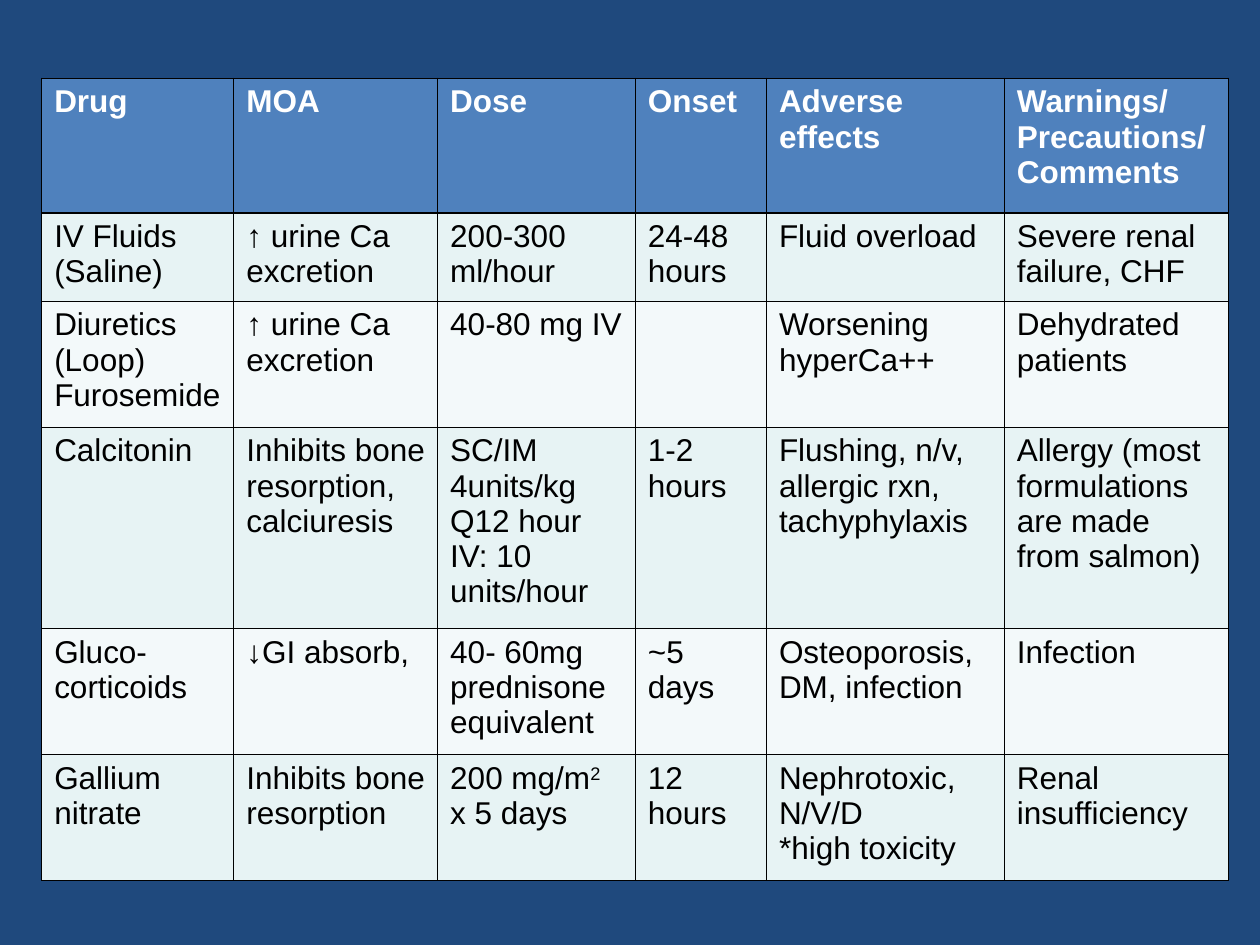
from pptx import Presentation
from pptx.dml.color import RGBColor
from pptx.oxml import parse_xml
from pptx.oxml.ns import nsdecls
from pptx.util import Pt

NAVY = RGBColor(0x1F, 0x49, 0x7D)
HEADER_BLUE = RGBColor(0x4F, 0x81, 0xBD)
BAND_DARK = RGBColor(0xE7, 0xF3, 0xF4)
BAND_LIGHT = RGBColor(0xF3, 0xF9, 0xFA)
WHITE = RGBColor(0xFF, 0xFF, 0xFF)
BLACK = RGBColor(0x00, 0x00, 0x00)

FONT = "Arial"
TEXT_SIZE = Pt(18)
THIN = Pt(0.45)
THICK = Pt(1.47)
SUPERSCRIPT_MARK = "^"

COLUMN_WIDTHS = [109.8, 116.5, 113, 74.9, 136, 128]
ROW_HEIGHTS = [77, 50.4, 72, 115.2, 72, 72]

DRUGS = [
    ["Drug", "MOA", "Dose", "Onset", "Adverse effects",
     "Warnings/\nPrecautions/ Comments"],
    ["IV Fluids (Saline)", "↑ urine Ca excretion", "200-300 ml/hour",
     "24-48 hours", "Fluid overload", "Severe renal failure, CHF"],
    ["Diuretics (Loop) Furosemide", "↑ urine Ca excretion", "40-80 mg IV",
     "", "Worsening hyperCa++", "Dehydrated patients"],
    ["Calcitonin", "Inhibits bone resorption, calciuresis",
     "SC/IM 4units/kg Q12 hour\nIV: 10 units/hour", "1-2 hours",
     "Flushing, n/v, allergic rxn, tachyphylaxis",
     "Allergy (most formulations are made from salmon)"],
    ["Gluco-corticoids", "↓GI absorb,", "40- 60mg prednisone equivalent",
     "~5 days", "Osteoporosis, DM, infection", "Infection"],
    ["Gallium nitrate", "Inhibits bone resorption",
     "200 mg/m^2\nx 5 days", "12 hours",
     "Nephrotoxic,\nN/V/D\n*high toxicity", "Renal insufficiency"],
]


def set_borders(cell, top, bottom):
    sides = {"lnL": THIN, "lnR": THIN, "lnT": top, "lnB": bottom}
    properties = cell._tc.get_or_add_tcPr()
    for side, width in sides.items():
        properties.append(parse_xml(
            f'<a:{side} {nsdecls("a")} w="{width}"><a:solidFill>'
            f'<a:srgbClr val="{BLACK}"/></a:solidFill></a:{side}>'))


def write_cell(cell, text, color, bold):
    cell.text_frame.text = text
    for paragraph in cell.text_frame.paragraphs:
        base, _, exponent = paragraph.text.partition(SUPERSCRIPT_MARK)
        paragraph.text = base
        if exponent:
            raised = paragraph.add_run()
            raised.text = exponent
            raised._r.get_or_add_rPr().set("baseline", "30000")
        for run in paragraph.runs:
            run.font.name = FONT
            run.font.size = TEXT_SIZE
            run.font.bold = bold
            run.font.color.rgb = color


def add_drug_table(slide, left, top, width, height):
    table = slide.shapes.add_table(
        len(DRUGS), len(DRUGS[0]), left, top, width, height).table
    for column, column_width in zip(table.columns, COLUMN_WIDTHS):
        column.width = Pt(column_width)
    for row, row_height in zip(table.rows, ROW_HEIGHTS):
        row.height = Pt(row_height)

    for row_index, entries in enumerate(DRUGS):
        header = row_index == 0
        band = BAND_DARK if row_index % 2 else BAND_LIGHT
        for column_index, text in enumerate(entries):
            cell = table.cell(row_index, column_index)
            set_borders(cell, THICK if row_index == 1 else THIN,
                        THICK if header else THIN)
            cell.fill.solid()
            cell.fill.fore_color.rgb = HEADER_BLUE if header else band
            write_cell(cell, text, WHITE if header else BLACK, header)


def main():
    presentation = Presentation()
    presentation.slide_width = Pt(720)
    presentation.slide_height = Pt(540)
    blank_layout = presentation.slide_layouts[6]
    slide = presentation.slides.add_slide(blank_layout)
    slide.background.fill.solid()
    slide.background.fill.fore_color.rgb = NAVY
    add_drug_table(slide, Pt(23.8), Pt(44.6),
                   Pt(sum(COLUMN_WIDTHS)), Pt(sum(ROW_HEIGHTS)))
    presentation.save("out.pptx")


if __name__ == "__main__":
    main()
